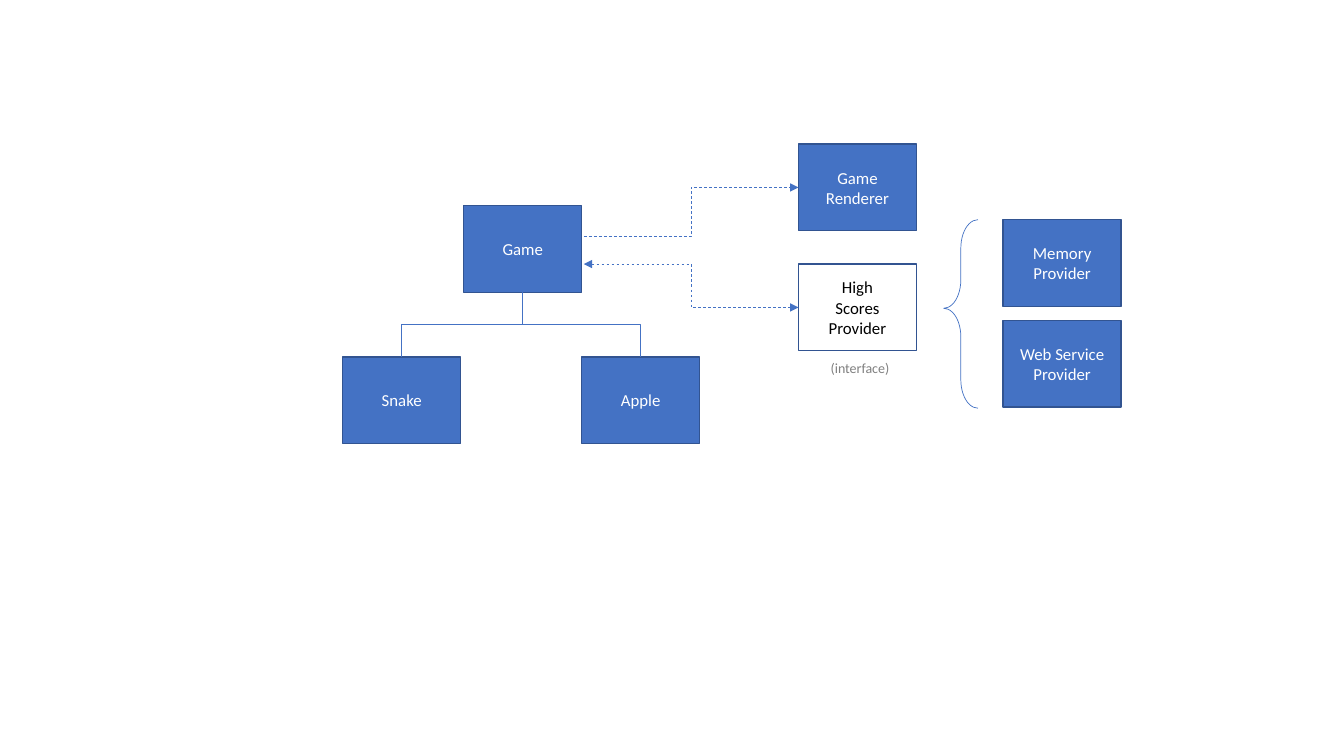
from lxml.etree import SubElement
from pptx import Presentation
from pptx.dml.color import RGBColor
from pptx.enum.dml import MSO_LINE
from pptx.enum.shapes import MSO_CONNECTOR, MSO_SHAPE
from pptx.enum.text import MSO_ANCHOR, MSO_AUTO_SIZE, PP_ALIGN
from pptx.oxml.ns import qn
from pptx.util import Inches, Pt

HUES = {"blue": "4472C4", "edge": "325491", "white": "FFFFFF", "black": "000000", "gray": "808080"}


class Chart:
    """Hold the style and the current slide, and draw each kind of element."""

    size = (1.17, 0.86)
    font = "Calibri"

    def __init__(self, slide):
        self.slide = slide

    def hue(self, name):
        return RGBColor.from_string(HUES[name])

    def stroke(self, line, name, width):
        line.color.rgb = self.hue(name)
        line.width = Pt(width)

    def label(self, frame, text, name, size, align):
        frame.text = text
        look = {"name": self.font, "size": Pt(size)}
        for para in frame.paragraphs:
            para.alignment = align
            for run in para.runs:
                for key, val in look.items():
                    setattr(run.font, key, val)
                run.font.color.rgb = self.hue(name)

    def shape(self, kind, left, top, wide, high, fill, edge, width):
        item = self.slide.shapes.add_shape(kind, *map(Inches, (left, top, wide, high)))
        item.shadow.inherit = False
        if fill:
            item.fill.solid()
            item.fill.fore_color.rgb = self.hue(fill)
        else:
            item.fill.background()
        self.stroke(item.line, edge, width)
        return item

    def box(self, text, left, top, fill="blue", ink="white"):
        item = self.shape(MSO_SHAPE.RECTANGLE, left, top, *self.size, fill, "edge", 1)
        frame = item.text_frame
        for key, val in {"word_wrap": True, "vertical_anchor": MSO_ANCHOR.MIDDLE}.items():
            setattr(frame, key, val)
        self.label(frame, text, ink, 12, PP_ALIGN.CENTER)

    def brace(self, left, top, wide, high, bends):
        item = self.shape(MSO_SHAPE.LEFT_BRACE, left, top, wide, high, None, "blue", 0.5)
        for spot, bend in enumerate(bends):
            item.adjustments[spot] = bend

    def note(self, text, left, top, wide, high):
        item = self.slide.shapes.add_textbox(*map(Inches, (left, top, wide, high)))
        frame = item.text_frame
        for key, val in {"word_wrap": False, "auto_size": MSO_AUTO_SIZE.SHAPE_TO_FIT_TEXT}.items():
            setattr(frame, key, val)
        self.label(frame, text, "gray", 10, PP_ALIGN.LEFT)

    def elbow(self, x1, y1, x2, y2):
        ends = map(Inches, (x1, y1, x2, y2))
        item = self.slide.shapes.add_connector(MSO_CONNECTOR.ELBOW, *ends)
        self.stroke(item.line, "blue", 0.5)
        SubElement(item.element.spPr, qn("a:effectLst"))
        return item

    def branch(self, x1, y1, x2, y2):
        turn = 1 if x2 < x1 else -1
        midx, midy = (x1 + x2) / 2, (y1 + y2) / 2
        u, v = turn * (y2 - y1) / 2, turn * (x2 - x1) / 2
        item = self.elbow(midx - u, midy + v, midx + u, midy - v)
        frame = item.element.spPr.find(qn("a:xfrm"))
        frame.set("rot", str(turn * 90 % 360 * 60000))

    def arrow(self, x1, y1, x2, y2, tips):
        item = self.elbow(x1, y1, x2, y2)
        item.line.dash_style = MSO_LINE.DASH
        line = item.element.spPr.find(qn("a:ln"))
        for tip in tips:
            SubElement(line, qn("a:" + tip), type="triangle")


deck = Presentation()
deck.slide_width, deck.slide_height = Inches(13.33), Inches(7.5)
chart = Chart(deck.slides.add_slide(deck.slide_layouts[6]))
wide, high = chart.size

game, views, stores = 4.6, 7.92, 9.95
for text, left, top in (
    ("Snake", 3.4, 3.54),
    ("Apple", 5.77, 3.54),
    ("Game", game, 2.04),
    ("Game\vRenderer", views, 1.43),
    ("Memory Provider", stores, 2.18),
    ("Web Service\nProvider", stores, 3.18),
):
    chart.box(text, left, top)
chart.box("High\nScores\nProvider", views, 2.62, None, "black")

for left in (3.4, 5.77):
    chart.branch(game + wide / 2, 2.04 + high, left + wide / 2, 3.54)
chart.arrow(5.79, 2.35, views, 1.43 + high / 2, ["tailEnd"])
chart.arrow(5.79, 2.62, views, 2.62 + high / 2, ["headEnd", "tailEnd"])
chart.brace(9.36, 2.18, 0.34, 1.87, (0.83, 0.47))
chart.note("(interface)", 8.14, 3.52, 0.8, 0.27)

deck.save("out.pptx")
